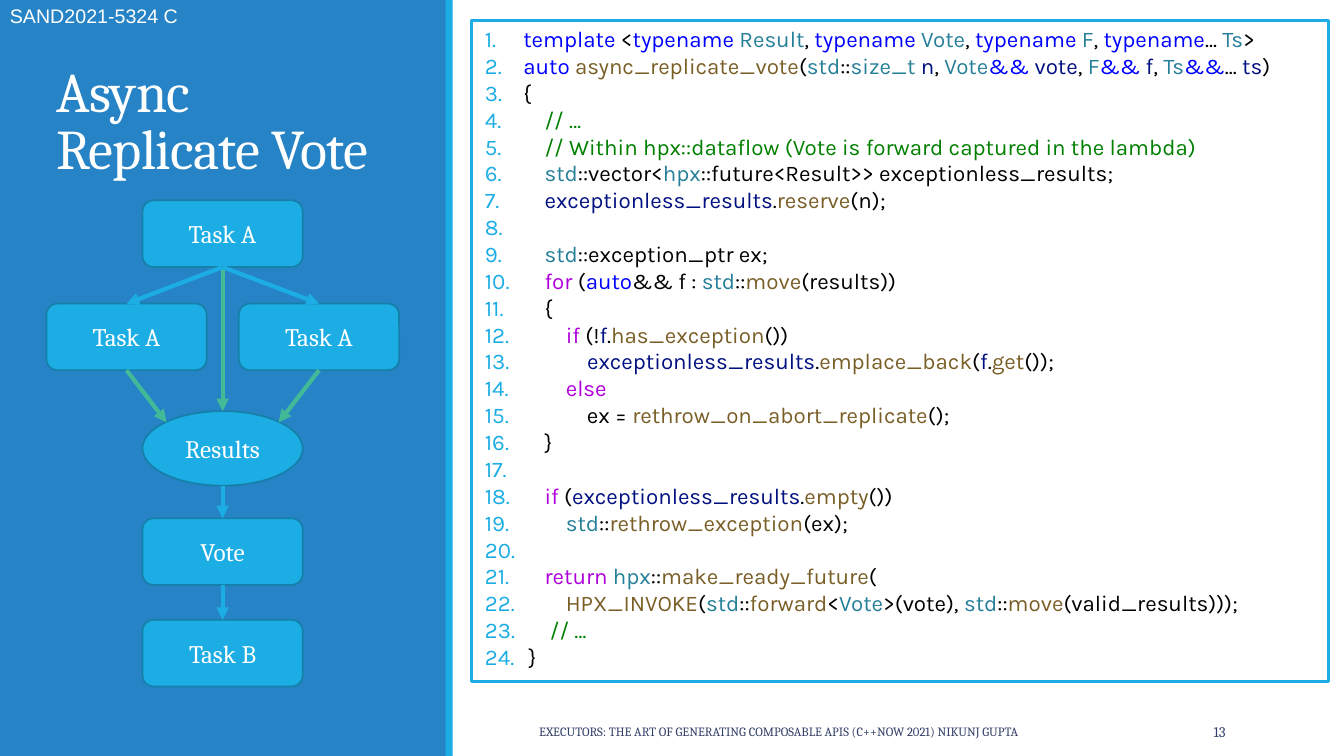
from lxml import etree
from pptx import Presentation
from pptx.dml.color import RGBColor
from pptx.enum.shapes import MSO_CONNECTOR as Connector, MSO_SHAPE as Shape
from pptx.enum.text import MSO_ANCHOR as Anchor, PP_ALIGN as Align
from pptx.oxml.ns import qn
from pptx.util import Cm, Pt

COLORS = {
    "white": "FFFFFF", "panel": "2683C6", "accent": "1CADE4", "edge": "1580A9",
    "green": "42BA97", "footer": "344068",
}
# Syntax colours, by the letter that marks a token in CODE
SYNTAX = {
    "k": "000000", "b": "0000FF", "t": "267F99", "f": "795E26",
    "v": "001080", "c": "008000", "p": "AF00DB",
}
# Plain code is black; `letter~token` is coloured
CODE = [
    "`b~template` <`b~typename ``t~Result`, `b~typename ``t~Vote`, "
    "`b~typename ``t~F`, `b~typename`... `t~Ts`>",
    "`b~auto ``f~async_replicate_vote`(`t~std`::`t~size_t ``v~n`, `t~Vote``b~&& ``v~vote`, "
    "`t~F``b~&& ``v~f`, `t~Ts``b~&&`... `v~ts`)",
    "{",
    "    `c~// …`",
    "    `c~// Within hpx::dataflow (Vote is forward captured in the lambda)`",
    "    `t~std`::vector<`t~hpx`::future<Result>> exceptionless_results;",
    "    `v~exceptionless_results`.`f~reserve`(n);",
    "",
    "    `t~std`::exception_ptr ex;",
    "    `p~for` (`b~auto`&& f : `t~std`::`f~move`(results))",
    "    {",
    "        `p~if` (!`v~f`.`f~has_exception`())",
    "            `v~exceptionless_results`.`f~emplace_back`(`v~f`.`f~get`());",
    "        `p~else`",
    "            ex = `f~rethrow_on_abort_replicate`();",
    "    }",
    "",
    "    `p~if `(`v~exceptionless_results`.`f~empty`())",
    "        `t~std`::`f~rethrow_exception`(ex);",
    "",
    "    `p~return ``t~hpx`::`f~make_ready_future`(",
    "        `f~HPX_INVOKE`(`t~std`::`f~forward`<`t~Vote`>(vote), "
    "`t~std`::`f~move`(valid_results)));",
    "     `c~// …`",
    " }",
]
NBSP = "\u00a0"

NODE_WIDTH, NODE_HEIGHT = 4.04, 1.68
LEFT, MIDDLE, RIGHT = 1.17, 3.59, 6.02
# Points on a node, as shares of its width and height
TOP, BOTTOM = (0.5, 0), (0.5, 1)
UPPER_LEFT, UPPER_RIGHT = (0.15, 0.15), (0.85, 0.15)


def rgb(value):
    return RGBColor.from_string(value)


def add_span(para, text, *, size, font="Cambria", color=COLORS["white"], spacing=None):
    span = para.add_run()
    span.text = text
    span.font.size = Pt(size)
    span.font.name = font
    span.font.color.rgb = rgb(color)
    if spacing is not None:
        span.font._element.set("spc", str(round(spacing * 100)))


def add_box(slide, area, kind=Shape.RECTANGLE, *, fill, line=None, weight=1):
    box = slide.shapes.add_shape(kind, *map(Cm, area))
    box.shadow.inherit = False
    box.fill.solid()
    box.fill.fore_color.rgb = rgb(COLORS[fill])
    if line:
        box.line.color.rgb = rgb(COLORS[line])
        box.line.width = Pt(weight)
    else:
        box.line.fill.background()
    return box


def add_label(slide, area, text, *, anchor=Anchor.MIDDLE, align=Align.LEFT,
              wrap=True, line_spacing=None, **span_format):
    frame = slide.shapes.add_textbox(*map(Cm, area)).text_frame
    frame.word_wrap = wrap
    frame.vertical_anchor = anchor
    para = frame.paragraphs[0]
    para.alignment = align
    para.line_spacing = line_spacing
    add_span(para, text, **span_format)


def add_node(slide, text, left, top, kind=Shape.ROUNDED_RECTANGLE, height=NODE_HEIGHT):
    node = add_box(slide, (left, top, NODE_WIDTH, height), kind,
                   fill="accent", line="edge", weight=1.25)
    frame = node.text_frame
    frame.vertical_anchor = Anchor.MIDDLE
    frame.paragraphs[0].alignment = Align.CENTER
    add_span(frame.paragraphs[0], text, size=18)
    return node


def add_arrow(slide, start, end, color="accent", end_at=TOP):
    def point(node, share):
        return (round(node.left + node.width * share[0]),
                round(node.top + node.height * share[1]))

    arrow = slide.shapes.add_connector(
        Connector.STRAIGHT, *point(start, BOTTOM), *point(end, end_at))
    arrow.line.color.rgb = rgb(COLORS[color])
    arrow.line.width = Pt(3)
    etree.SubElement(arrow.line._get_or_add_ln(), qn("a:tailEnd"), type="triangle")
    etree.SubElement(arrow._element.spPr, qn("a:effectLst"))


def number_line(para):
    props = para._p.get_or_add_pPr()
    props.set("marL", str(Cm(1.3)))
    props.set("indent", str(Cm(-0.97)))
    bullet_color = etree.SubElement(props, qn("a:buClr"))
    etree.SubElement(bullet_color, qn("a:srgbClr"), val=COLORS["accent"])
    etree.SubElement(props, qn("a:buFont"), typeface="Karla")
    etree.SubElement(props, qn("a:buAutoNum"), type="arabicPeriod")


def add_code(slide, area):
    frame = add_box(slide, area, fill="white", line="accent", weight=2).text_frame
    frame.margin_left = frame.margin_right = 0
    frame.vertical_anchor = Anchor.TOP
    for index, line in enumerate(CODE):
        para = frame.add_paragraph() if index else frame.paragraphs[0]
        para.alignment = Align.LEFT
        number_line(para)
        for position, part in enumerate((line or NBSP).split("`")):
            letter, token = part.split("~") if position % 2 else ("k", part)
            if token:
                add_span(para, token.replace(" ", NBSP), size=16, font="Karla",
                         color=SYNTAX[letter])


def add_task_graph(slide):
    first = add_node(slide, "Task A", MIDDLE, 5.05)
    replicas = [add_node(slide, "Task A", left, 7.65) for left in (LEFT, RIGHT)]
    results = add_node(slide, "Results", MIDDLE, 10.36, Shape.OVAL, height=1.88)
    vote = add_node(slide, "Vote", MIDDLE, 13.06)
    last = add_node(slide, "Task B", MIDDLE, 15.62)

    add_arrow(slide, first, results, "green")
    for replica, corner in zip(replicas, (UPPER_LEFT, UPPER_RIGHT)):
        add_arrow(slide, first, replica)
        add_arrow(slide, replica, results, "green", corner)
    add_arrow(slide, results, vote)
    add_arrow(slide, vote, last)


def main():
    deck = Presentation()
    deck.slide_width, deck.slide_height = Cm(33.87), Cm(19.05)
    slide = deck.slides.add_slide(deck.slide_layouts[6])

    # Side panel and its edge
    add_box(slide, (0, 0, 11.25, 19.05), fill="panel")
    add_box(slide, (11.23, 0, 0.18, 19.05), fill="accent")

    # Code listing
    add_code(slide, (11.89, 0.51, 21.59, 16.66))

    # Footer and page number
    add_label(slide, (13.34, 17.93, 12.9, 1.02),
              "EXECUTORS: THE ART OF GENERATING COMPOSABLE APIS (C++NOW 2021) NIKUNJ GUPTA",
              size=9, color=COLORS["footer"])
    add_label(slide, (27.51, 17.93, 3.63, 1.02), "13", align=Align.RIGHT,
              size=10.5, color=COLORS["footer"])

    # Title and task graph
    add_label(slide, (1.17, 1.02, 8.89, 3.66), "Async Replicate Vote",
              anchor=Anchor.BOTTOM, line_spacing=0.85, size=40, spacing=-0.5)
    add_task_graph(slide)

    # Report number
    add_label(slide, (0, -0.03, 4.8, 0.86), "SAND2021-5324 C", anchor=Anchor.TOP,
              wrap=False, size=14, font="Arial")

    deck.save("out.pptx")


main()
